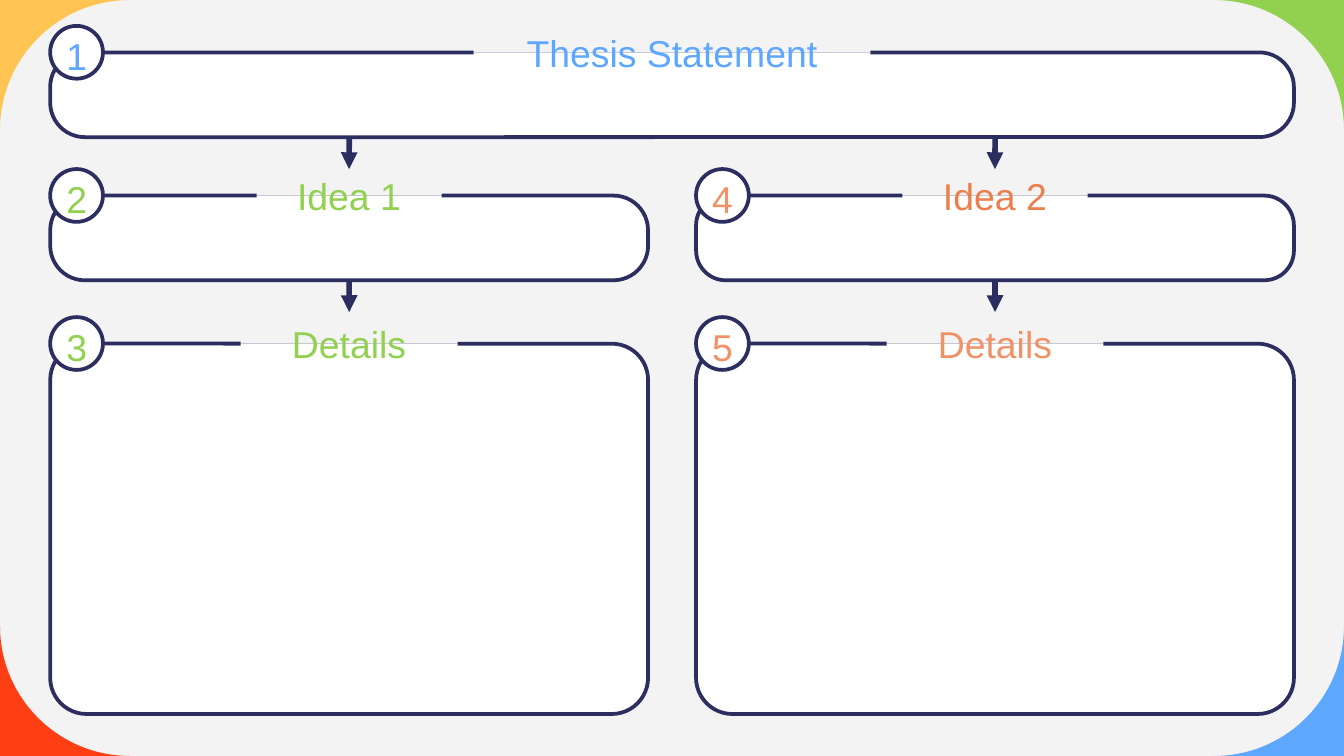
from lxml import etree
from pptx import Presentation
from pptx.dml.color import RGBColor
from pptx.enum import shapes, text
from pptx.oxml.ns import qn
from pptx.util import Pt

C = {"bg": "F3F3F3", "white": "FFFFFF", "navy": "2B2E5F", "blue": "5EA7FF",
     "green": "92D050", "salmon": "F09268", "orange": "ED7F4D",
     "red": "FF3E14", "yellow": "FFC451"}
C = {name: RGBColor.from_string(value) for name, value in C.items()}
W, H = 720, 405
LEFT, RIGHT = 26.9, 372.9
MASK, BADGE = 14.2, 28.3


def add_box(parent, box, fill, adj=None, outlined=False):
    kind = shapes.MSO_SHAPE.RECTANGLE if adj is None else shapes.MSO_SHAPE.ROUNDED_RECTANGLE
    sp = parent.add_shape(kind, *map(Pt, box))
    if adj is not None:
        sp.adjustments[0] = adj
    sp.shadow.inherit = False
    sp.fill.solid()
    sp.fill.fore_color.rgb = C[fill]
    if outlined:
        sp.line.color.rgb = C["navy"]
        sp.line.width = Pt(2)
    else:
        sp.line.fill.background()
    return sp


def set_text(sp, box, words, color):
    sp.left, sp.top, sp.width, sp.height = map(Pt, box)
    tf = sp.text_frame
    frame = {"word_wrap": True, "auto_size": text.MSO_AUTO_SIZE.NONE,
             "vertical_anchor": text.MSO_ANCHOR.MIDDLE, "margin_left": 0,
             "margin_right": 0, "margin_top": 0, "margin_bottom": 0}
    for name, value in frame.items():
        setattr(tf, name, value)
    p = tf.paragraphs[0]
    p.alignment = text.PP_ALIGN.CENTER
    r = p.add_run()
    r.text = words
    for name, value in {"name": "Arial", "size": Pt(20), "bold": False}.items():
        setattr(r.font, name, value)
    r.font.color.rgb = C[color]


prs = Presentation()
prs.slide_width, prs.slide_height = Pt(W), Pt(H)
s = prs.slides.add_slide(prs.slide_layouts[5])
s.background.fill.solid()
s.background.fill.fore_color.rgb = C["bg"]

# Coloured corners, each cut by a quarter circle
radius, handle = 69.6, 31.2
for x, y, dx, dy, color in [(0, H, 1, -1, "red"), (W, H, -1, -1, "blue"),
                            (0, 0, 1, 1, "yellow"), (W, 0, -1, 1, "green")]:
    start = (x + dx * radius, y)
    points = [(x, y), (x, y + dy * radius), (x, y + dy * handle),
              (x + dx * handle, y), start]
    outline = s.shapes.build_freeform(*map(Pt, start))
    outline.add_line_segments([(Pt(px), Pt(py)) for px, py in points])
    sp = outline.convert_to_shape()
    # The last three points become one curve
    segments = list(sp._element.iter(qn("a:lnTo")))[-3:]
    curve = etree.Element(qn("a:cubicBezTo"))
    segments[0].addprevious(curve)
    for segment in segments:
        curve.append(segment[0])
        segment.getparent().remove(segment)
    sp.shadow.inherit = False
    sp.fill.solid()
    sp.fill.fore_color.rgb = C[color]
    sp.line.fill.background()

# Panels: number, heading, left, top, width, height, corner, tab width, colours
panels = [
    ("1", "Thesis Statement", LEFT, 28.1, 666.3, 45.4, 0.409, 212.6, "blue", "blue"),
    ("3", "Details", LEFT, 184.1, 320.3, 198.4, 0.098, 116.2, "green", "green"),
    ("5", "Details", RIGHT, 184.1, 320.3, 198.4, 0.098, 116.2, "salmon", "salmon"),
    ("2", "Idea 1", LEFT, 104.8, 320.3, 45.4, 0.409, 99.2, "green", "green"),
    ("4", "Idea 2", RIGHT, 104.8, 320.3, 45.4, 0.351, 99.2, "salmon", "orange"),
]
boxes, tabs = {}, {}
for number, heading, x, y, w, h, adj, tab_w, number_color, heading_color in panels:
    boxes[number] = add_box(s.shapes, (x, y, w, h), "white", adj, True)

    # Gap in the top border that holds the heading
    tab_x = x + (w - tab_w) / 2
    add_box(s.shapes, (tab_x, y, tab_w, MASK), "white", 0)
    tabs[number] = add_box(s.shapes, (tab_x, y - MASK, tab_w, MASK), "bg")
    if number == "1":
        sp = s.shapes.title
        s.shapes._spTree.append(sp._element)  # bring the title in front of its tab
    else:
        sp = s.shapes.add_textbox(0, 0, 0, 0)
    set_text(sp, (tab_x + 14.4, y - 11.1, tab_w - 28.8, 22.4), heading, heading_color)

    # Number badge
    badge = s.shapes.add_group_shape().shapes
    add_box(badge, (x, y - MASK, BADGE, BADGE), "white", 0.5, True)
    set_text(badge.add_textbox(0, 0, 0, 0), (x + 3, y - 8.5, 22.4, 20), number, number_color)

# Arrows down each column
for x, idea in [(LEFT + 160.2, "2"), (RIGHT + 160.2, "4")]:
    for top, bottom in [(73.6, 90.6), (150.2, 167.2)]:
        line = s.shapes.add_connector(shapes.MSO_CONNECTOR.STRAIGHT,
                                      Pt(x), Pt(top), Pt(x), Pt(bottom))
        if top < 100:
            line.end_connect(tabs[idea], 0)
        else:
            line.begin_connect(boxes[idea], 2)
        line.line.color.rgb = C["navy"]
        line.line.width = Pt(3)
        etree.SubElement(line.line._get_or_add_ln(), qn("a:tailEnd"), type="triangle")
        etree.SubElement(line._element.spPr, qn("a:effectLst"))

prs.save("out.pptx")
